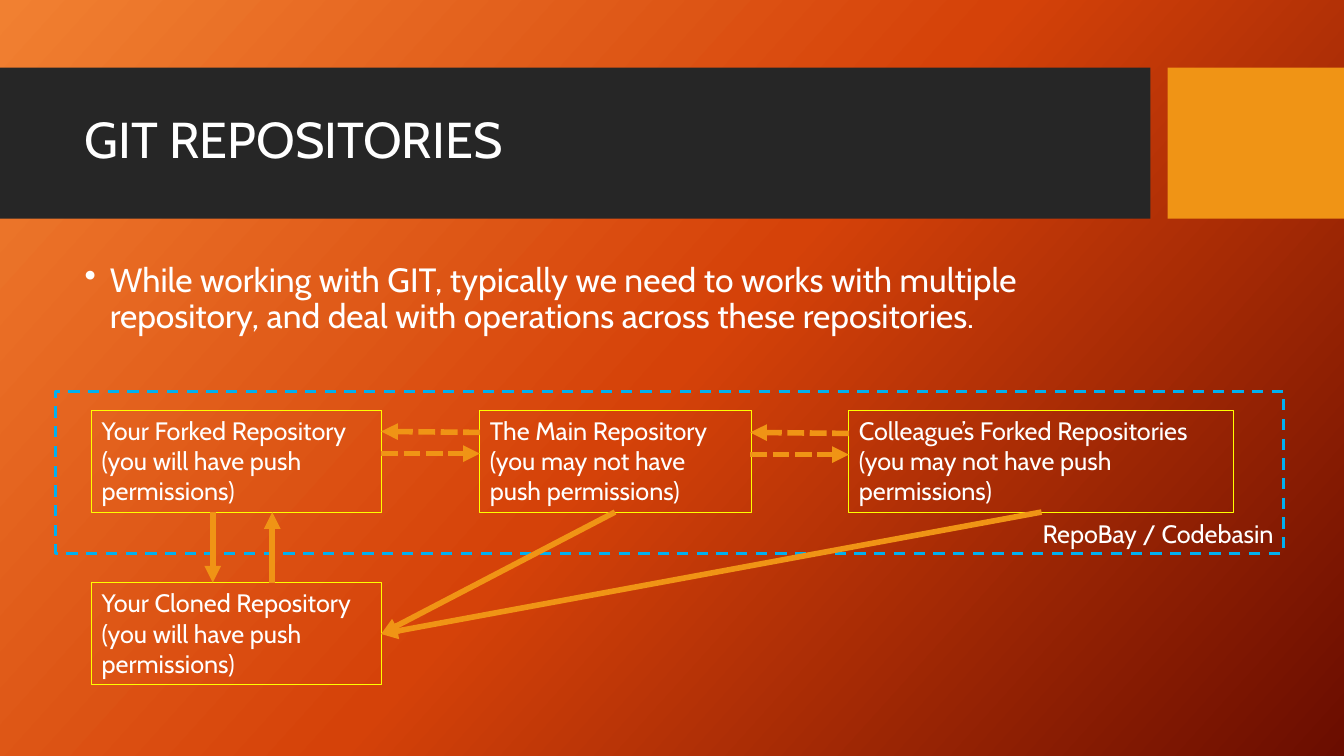
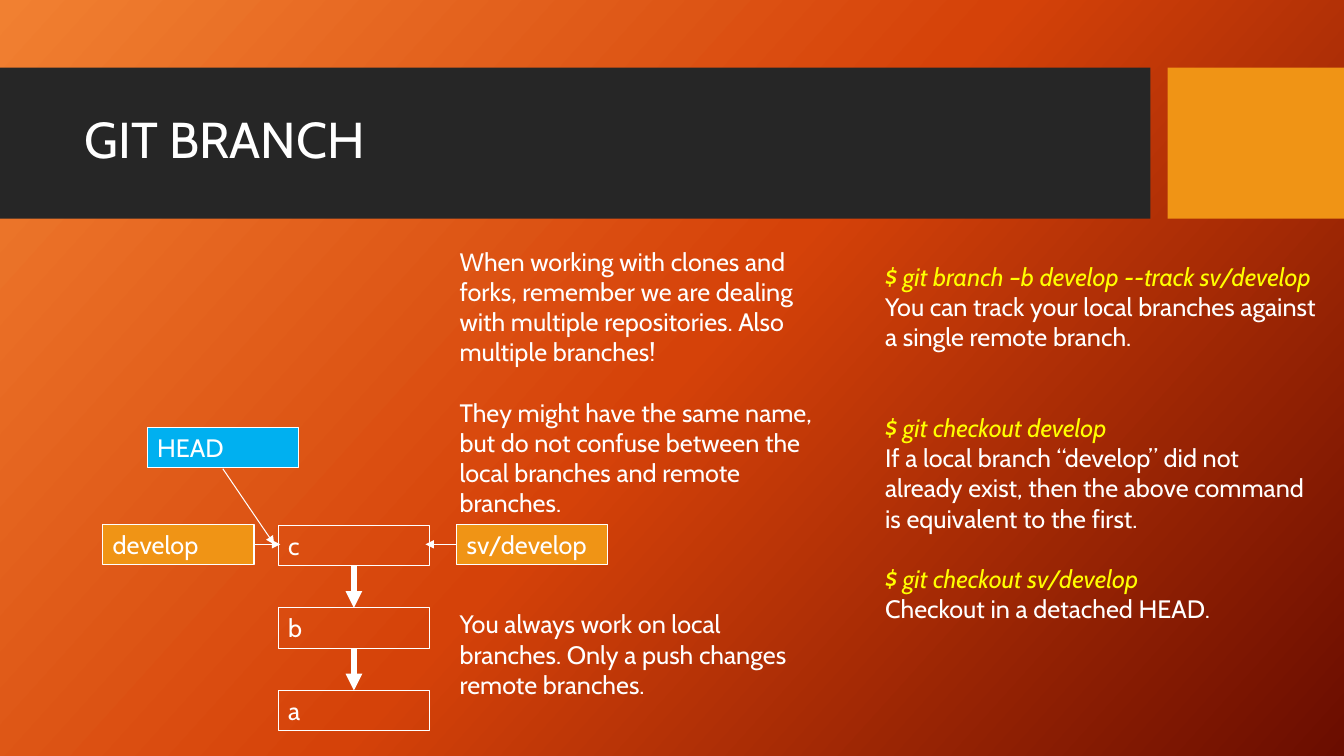
import pptx
import pptx.util
import pptx.dml.color
import pptx.enum.dml
import pptx.enum.shapes
import pptx.enum.text
import pptx.oxml.ns
import lxml.etree

Inches, Pt = pptx.util.Inches, pptx.util.Pt
qn = pptx.oxml.ns.qn
rgb = pptx.dml.color.RGBColor.from_string
Dash = pptx.enum.dml.MSO_LINE
Anchor = pptx.enum.text.MSO_ANCHOR
Align = pptx.enum.text.PP_ALIGN

FONT = "Cabin"
WHITE, DARK, ORANGE = "FFFFFF", "262626", "F09415"
BLUE, YELLOW = "00B0F0", "FFFF00"
BACKGROUND = [(0, "F18031"), (50, "D54209"), (100, "6A0D00")]
BLANK_LINE = 21.6  # points, one line of 18 point text


def add_box(page, at, paragraphs=(), size=18, fill=None, line=None, width=0.75,
            dash=None, anchor=Anchor.TOP, align=Align.LEFT, spacing=None):
    """Rectangle or plain text; a paragraph is (text, colour, italic, points before)."""
    place = [Inches(value) for value in at]
    if fill or line:
        box = page.shapes.add_shape(pptx.enum.shapes.MSO_SHAPE.RECTANGLE, *place)
        box.shadow.inherit = False
        if fill:
            box.fill.solid()
            box.fill.fore_color.rgb = rgb(fill)
        else:
            box.fill.background()
        if line:
            box.line.color.rgb = rgb(line)
            box.line.width = Pt(width)
            box.line.dash_style = dash
        else:
            box.line.fill.background()
    else:
        box = page.shapes.add_textbox(*place)
    frame = box.text_frame
    frame.word_wrap = True
    frame.vertical_anchor = anchor
    for index, (text, colour, italic, before) in enumerate(paragraphs):
        para = frame.add_paragraph() if index else frame.paragraphs[0]
        para.alignment = align
        para.space_before = Pt(before)
        if spacing:
            para.line_spacing = spacing
        span = para.add_run()
        span.text = text
        span.font.name = FONT
        span.font.size = Pt(size)
        span.font.italic = italic
        span.font.color.rgb = rgb(colour)
    return box


def add_arrow(page, start, end, colour, width, dash=None):
    arrow = page.shapes.add_connector(
        pptx.enum.shapes.MSO_CONNECTOR.STRAIGHT,
        *[Inches(value) for value in start + end])
    arrow.line.color.rgb = rgb(colour)
    arrow.line.width = Pt(width)
    arrow.line.dash_style = dash
    properties = arrow.element.spPr
    outline = properties.find(qn("a:ln"))
    lxml.etree.SubElement(outline, qn("a:tailEnd"), type="triangle")
    lxml.etree.SubElement(properties, qn("a:effectLst"))


deck = pptx.Presentation()
deck.slide_width, deck.slide_height = Inches(13.33), Inches(7.5)

# Shared gradient background, set on the master
backdrop = deck.slide_master.background.fill
backdrop.gradient()
backdrop.gradient_angle = 360 - 42
stops = next(deck.slide_master.element.iter(qn("a:gsLst")))
for stop in list(stops):
    stops.remove(stop)
for percent, colour in BACKGROUND:
    stop = lxml.etree.SubElement(stops, qn("a:gs"), pos=str(percent * 1000))
    lxml.etree.SubElement(stop, qn("a:srgbClr"), val=colour)

# Shared title band and accent block
pages = []
for title in ("GIT REPOSITORIES", "GIT BRANCH"):
    page = deck.slides.add_slide(deck.slide_layouts[6])
    add_box(page, (0, 0.67, 11.41, 1.5), fill=DARK)
    add_box(page, (11.58, 0.67, 1.75, 1.5), fill=ORANGE)
    add_box(page, (0.74, 0.82, 10.51, 1.18), [(title, WHITE, False, 0)],
            size=36, anchor=Anchor.MIDDLE, spacing=0.9)
    pages.append(page)
repositories, branch = pages

# Repositories: bullet
intro = ("While working with GIT, typically we need to works with multiple "
         "repository, and deal with operations across these repositories.")
body = add_box(repositories, (0.74, 2.56, 10.51, 3.94),
               [(intro, WHITE, False, 10)], size=24, spacing=0.9)
bullet = body.text_frame.paragraphs[0]._p.get_or_add_pPr()
bullet.set("marL", str(Inches(0.25)))
bullet.set("indent", str(Inches(-0.25)))
lxml.etree.SubElement(bullet, qn("a:buChar"), char="•")

# Repositories: hosting frame and the repositories
add_box(repositories, (0.55, 3.88, 12.18, 1.61),
        [("RepoBay / Codebasin", WHITE, False, 0)], line=BLUE, width=2,
        dash=Dash.DASH, anchor=Anchor.BOTTOM, align=Align.RIGHT)
for left, top, width, name, access in (
        (4.76, 4.07, 2.69, "The Main Repository", "may not"),
        (0.91, 4.07, 2.87, "Your Forked Repository", "will"),
        (8.42, 4.07, 3.81, "Colleague’s Forked Repositories", "may not"),
        (0.91, 5.78, 2.87, "Your Cloned Repository", "will")):
    add_box(repositories, (left, top, width, 1.01),
            [(name, WHITE, False, 0),
             (f"(you {access} have push permissions)", WHITE, False, 0)],
            line=YELLOW)

# Repositories: solid arrows to and from the clone, dashed ones between hosts
for start, end in (((2.11, 5.08), (2.11, 5.78)), ((2.7, 5.78), (2.7, 5.08)),
                   ((6.1, 5.08), (3.78, 6.29)), ((10.33, 5.08), (3.78, 6.29))):
    add_arrow(repositories, start, end, ORANGE, 4)
for left, right, top in ((3.78, 4.76, 4.28), (7.44, 8.42, 4.29)):
    add_arrow(repositories, (right, top + 0.01), (left, top), ORANGE, 4, Dash.SQUARE_DOT)
    add_arrow(repositories, (left, top + 0.22), (right, top + 0.22), ORANGE, 4,
              Dash.SQUARE_DOT)

# Branch: commits, newest on top
COMMIT_TOP, COMMIT_STEP, LABEL_HEIGHT = 5.21, 0.82, 0.4
for index, commit in enumerate("cba"):
    top = COMMIT_TOP + index * COMMIT_STEP
    add_box(branch, (2.76, top, 1.5, LABEL_HEIGHT), [(commit, WHITE, False, 0)],
            line=WHITE)
    if index:
        add_arrow(branch, (3.51, top - COMMIT_STEP + LABEL_HEIGHT), (3.51, top), WHITE, 4)

# Branch: labels pointing at the newest commit
for left, top, name, fill, start, end in (
        (1.02, 5.2, "develop", ORANGE, (2.52, 5.4), (2.78, 5.4)),
        (4.53, 5.2, "sv/develop", ORANGE, (4.53, 5.4), (4.22, 5.4)),
        (1.46, 4.24, "HEAD", BLUE, (2.21, 4.65), (2.72, 5.4))):
    add_box(branch, (left, top, 1.5, LABEL_HEIGHT), [(name, WHITE, False, 0)],
            fill=fill, line=WHITE)
    add_arrow(branch, start, end, WHITE, 0.75)

# Branch: commands with their explanations
commands = []
for command, meaning, gap in (
        ("$ git branch –b develop --track sv/develop",
         "You can track your local branches against a single remote branch.", 0),
        ("$ git checkout develop",
         "If a local branch “develop” did not already exist, then the above "
         "command is equivalent to the first.", 2),
        ("$ git checkout sv/develop", "Checkout in a detached HEAD.", 1)):
    commands += [(command, YELLOW, True, gap * BLANK_LINE), (meaning, WHITE, False, 0)]
add_box(branch, (8.68, 2.54, 4.52, 4.04), commands)

# Branch: advice
advice = [
    ("When working with clones and forks, remember we are dealing with multiple "
     "repositories. Also multiple branches!", 0),
    ("They might have the same name, but do not confuse between the local "
     "branches and remote branches.", 1),
    ("You always work on local branches. Only a push changes remote branches.", 3)]
add_box(branch, (4.46, 2.39, 3.83, 4.64),
        [(text, WHITE, False, gap * BLANK_LINE) for text, gap in advice])

deck.save("out.pptx")
